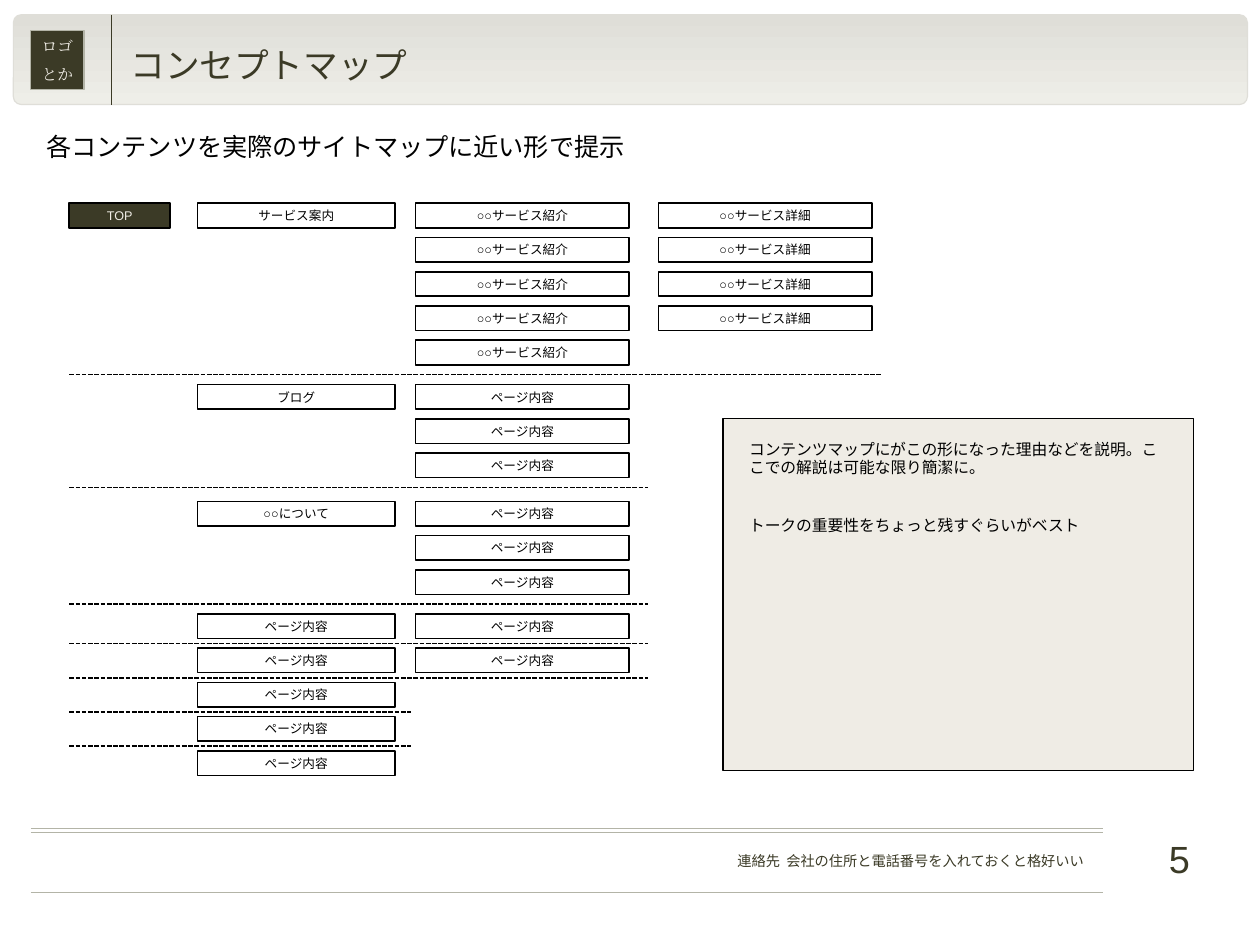
import lxml.etree
import pptx
import pptx.dml.color
import pptx.enum.dml
import pptx.enum.shapes
import pptx.enum.text
import pptx.oxml.ns
import pptx.util

Cm = pptx.util.Cm
Pt = pptx.util.Pt
RGB = pptx.dml.color.RGBColor
ALIGN = pptx.enum.text.PP_ALIGN
ANCHOR = pptx.enum.text.MSO_ANCHOR
SHAPE = pptx.enum.shapes.MSO_SHAPE
DOTTED = pptx.enum.dml.MSO_LINE.SQUARE_DOT
qn = pptx.oxml.ns.qn

OLIVE = RGB(0x3B, 0x3A, 0x26)
CREAM = RGB(0xEF, 0xEC, 0xE5)
GREY = RGB(0xB3, 0xB4, 0xA7)
SHADE = RGB(0xDF, 0xDE, 0xD8)
LIGHT = RGB(0xEE, 0xEE, 0xE8)
BLACK = RGB(0, 0, 0)
WHITE = RGB(255, 255, 255)
GOTHIC = "Noto Sans CJK JP"

PAGE = "ページ内容"
COLUMNS = [(2.87, 4.42), (7.75, 4.78), (13.18, 4.78)]
ROW = 0.55
PITCH = 0.766
GROUPS = [
    (0, [["サービス案内"], ["○○サービス紹介"] * 5, ["○○サービス詳細"] * 4], 0.22, 18.16),
    (4.06, [["ブログ"], [PAGE] * 3], 0.22, 12.95),
    (6.67, [["○○について"], [PAGE] * 3], 0.22, 12.95),
    (9.19, [[PAGE], [PAGE]], 0.11, 12.95),
    (9.19 + PITCH, [[PAGE], [PAGE]], 0.11, 12.95),
    (9.19 + 2 * PITCH, [[PAGE]], 0.11, 7.65),
    (9.19 + 3 * PITCH, [[PAGE]], 0.11, 7.65),
    (9.19 + 4 * PITCH, [[PAGE]], 0, 0),
]


def write(shape, *lines, size=8, font="Arial", color=BLACK, align=ALIGN.LEFT,
          anchor=ANCHOR.TOP, inset=(0.25, 0.13), wrap=True, gaps=(0, 0)):
    frame = shape.text_frame
    frame.word_wrap = wrap
    frame.vertical_anchor = anchor
    frame.margin_left = frame.margin_right = Cm(inset[0])
    frame.margin_top = frame.margin_bottom = Cm(inset[1])
    for num, (line, gap) in enumerate(zip(lines, gaps)):
        para = frame.add_paragraph() if num else frame.paragraphs[0]
        para.alignment = align
        para.space_before = Pt(gap)
        run = para.add_run()
        run.text = line
        run.font.size = Pt(size)
        run.font.name = font
        run.font.color.rgb = color
        lxml.etree.SubElement(run.font._element, qn("a:ea"), typeface=font)


def place(slide, box, fill, edge=BLACK, width=1, kind=SHAPE.RECTANGLE):
    shape = slide.shapes.add_shape(kind, *map(Cm, box))
    shape.shadow.inherit = False
    shape.fill.solid()
    shape.fill.fore_color.rgb = fill
    shape.line.color.rgb = edge
    shape.line.width = Pt(width)
    return shape


def label(slide, box, *lines, **style):
    write(slide.shapes.add_textbox(*map(Cm, box)), *lines, **style)


def rule(slide, start, end, color, width, dash=None):
    line = slide.shapes.add_connector(
        pptx.enum.shapes.MSO_CONNECTOR.STRAIGHT, *map(Cm, start + end))
    line.line.color.rgb = color
    line.line.width = Pt(width)
    if dash:
        line.line.dash_style = dash
    lxml.etree.SubElement(line._element.spPr, qn("a:effectLst"))


def header(slide, box):
    left, top, wide, high = box
    band = place(slide, box, SHADE, SHADE, 0.75, SHAPE.ROUNDED_RECTANGLE)
    band.adjustments[0] = 0.088
    band.fill.gradient()
    band.fill.gradient_angle = 270
    for stop, color in zip(band.fill.gradient_stops, (SHADE, LIGHT)):
        stop.color.rgb = color
    split = left + 2.19
    rule(slide, (split, top), (split, top + high), OLIVE, 0.75)
    badge = place(slide, (left + 0.39, top + 0.36, 1.19, 1.32), OLIVE, GREY, 0.75)
    write(badge, "ロゴ", "とか", size=10, font="Times New Roman", color=CREAM,
          align=ALIGN.CENTER, anchor=ANCHOR.MIDDLE, wrap=False, gaps=(6.2, 6.2))
    label(slide, (left + 2.34, top + 0.23, 24.46, high - 0.23), "コンセプトマップ",
          size=22, font=GOTHIC, color=OLIVE, anchor=ANCHOR.MIDDLE, inset=(0.28, 0.15))


def lead(slide, box):
    label(slide, box, "各コンテンツを実際のサイトマップに近い形で提示",
          size=16, font=GOTHIC, anchor=ANCHOR.MIDDLE, inset=(0, 0))


def node(slide, box, text, fill=WHITE, color=BLACK):
    write(place(slide, box, fill), text, color=color, align=ALIGN.CENTER,
          anchor=ANCHOR.MIDDLE, wrap=False)


def site(slide, box):
    left, top = box[:2]
    node(slide, (left, top, 2.26, ROW), "TOP", OLIVE, CREAM)
    for drop, lists, gap, reach in GROUPS:
        for (shift, wide), names in zip(COLUMNS, lists):
            for row, name in enumerate(names):
                spot = (left + shift, top + drop + row * PITCH, wide, ROW)
                node(slide, spot, name)
        if reach:
            rows = max(map(len, lists))
            base = top + drop + (rows - 1) * PITCH + ROW + gap
            rule(slide, (left, base), (left + reach, base), BLACK, 1, DOTTED)


def note(slide, box):
    left, top, wide, high = box
    place(slide, box, CREAM)
    label(slide, (left + 0.33, top + 0.33, wide - 0.77, 2.39),
          "コンテンツマップにがこの形になった理由などを説明。ここでの解説は可能な限り簡潔に。",
          "トークの重要性をちょっと残すぐらいがベスト",
          size=10, gaps=(6.2, 24.4))


def footer(slide, box):
    left, top, wide, high = box
    for base in (top, top + 0.09, top + high):
        rule(slide, (left, base), (left + wide, base), GREY, 0.25)
    label(slide, (left + 0.2, top + 0.41, 23.6, 0.64),
          "連絡先  会社の住所と電話番号を入れておくと格好いい".replace("  ", "  "),
          size=9, font=GOTHIC, color=OLIVE, align=ALIGN.RIGHT, gaps=(5.6,))
    label(slide, (left + 23.82, top, 2.39, 0.89), "5",
          size=24, color=OLIVE, align=ALIGN.RIGHT, inset=(0.28, 0.15))


def main():
    deck = pptx.Presentation()
    deck.slide_width = Cm(28.19)
    deck.slide_height = Cm(21.08)
    slide = deck.slides.add_slide(deck.slide_layouts[6])
    header(slide, (0.3, 0.33, 27.61, 2.01))
    lead(slide, (1.04, 2.74, 21.21, 1.09))
    site(slide, (1.55, 4.55, 18.16, 12.8))
    note(slide, (16.18, 9.37, 10.52, 7.87))
    footer(slide, (0.69, 18.54, 23.98, 1.42))
    deck.save("out.pptx")


if __name__ == "__main__":
    main()
